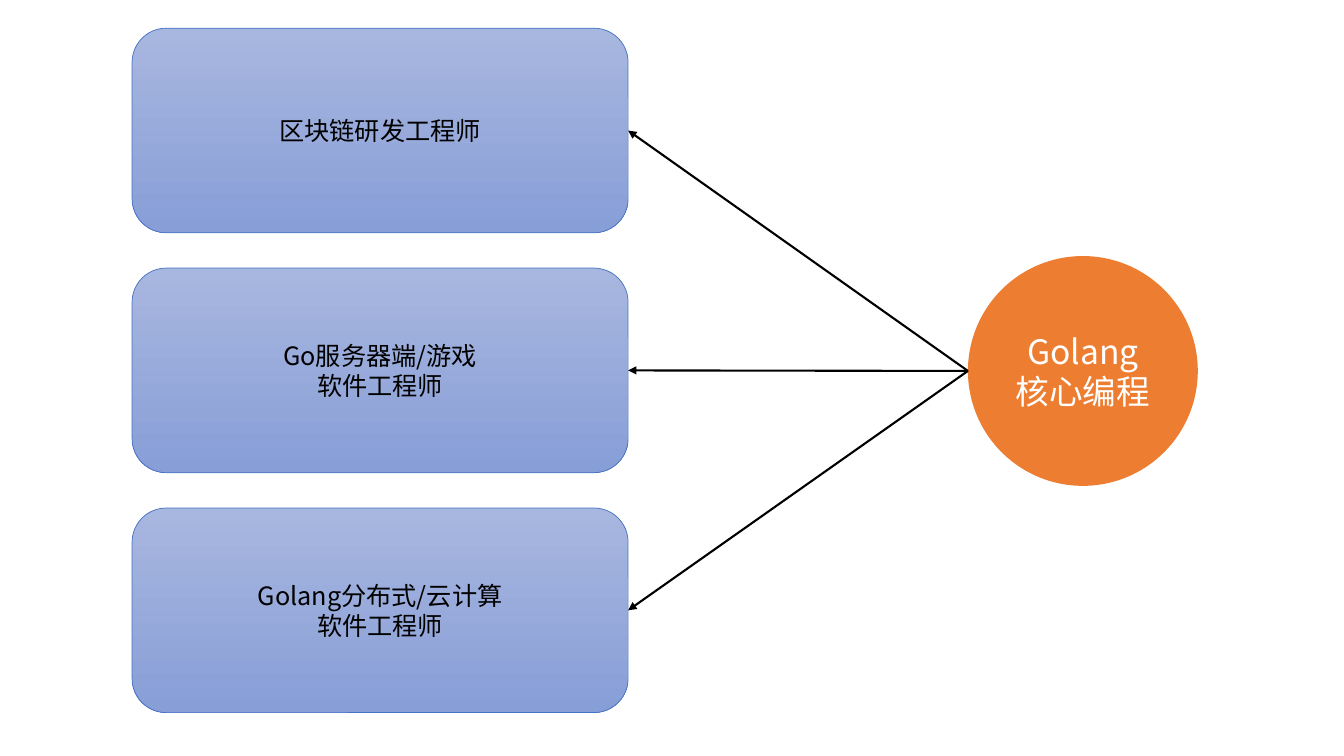
from dataclasses import dataclass

from lxml.etree import SubElement
from pptx import Presentation
from pptx.dml.color import RGBColor as RGB
from pptx.enum.shapes import MSO_CONNECTOR as CONNECTOR, MSO_SHAPE as SHAPE
from pptx.enum.text import MSO_ANCHOR as ANCHOR, PP_ALIGN as ALIGN
from pptx.oxml.ns import qn
from pptx.util import Inches, Pt


@dataclass(frozen=True)
class Theme:
    """Colours, font and sizes used on the slide."""
    font: str = "Noto Sans CJK SC"
    core_fill: RGB = RGB.from_string("ED7D31")
    core_text: RGB = RGB.from_string("FFFFFF")
    job_top: RGB = RGB.from_string("A8B7DF")
    job_bottom: RGB = RGB.from_string("889ED7")
    job_border: RGB = RGB.from_string("4472C4")
    ink: RGB = RGB.from_string("000000")
    core_size: Pt = Pt(24)
    job_size: Pt = Pt(18)
    border_width: Pt = Pt(0.5)
    arrow_width: Pt = Pt(1.5)


theme = Theme()


def write_label(shape, text, size, color):
    """Centre the lines of text in a shape and style them."""
    frame = shape.text_frame
    frame.text = text
    frame.word_wrap = True
    frame.vertical_anchor = ANCHOR.MIDDLE
    for paragraph in frame.paragraphs:
        paragraph.alignment = ALIGN.CENTER
        for run in paragraph.runs:
            run.font.size = size
            run.font.color.rgb = color
            run.font.name = theme.font
            SubElement(run.font._element, qn("a:ea"), typeface=theme.font)


presentation = Presentation()
presentation.slide_width = Inches(13.33)
presentation.slide_height = Inches(7.5)
slide = presentation.slides.add_slide(presentation.slide_layouts[6])
shapes = slide.shapes

# Core skill
core_left, core_top, core_diameter = Inches(9.6), Inches(2.54), Inches(2.28)
core = shapes.add_shape(SHAPE.OVAL, core_left, core_top, core_diameter, core_diameter)
core.shadow.inherit = False
core.fill.solid()
core.fill.fore_color.rgb = theme.core_fill
core.line.fill.background()
write_label(core, "Golang\n核心编程", theme.core_size, theme.core_text)

# Jobs it leads to
job_titles = [
    "区块链研发工程师",
    "Go服务器端/游戏\n软件工程师",
    "Golang分布式/云计算\n软件工程师",
]
job_left, first_job_top, job_step = Inches(1.31), Inches(0.28), Inches(2.38)
job_width, job_height = Inches(4.92), Inches(2.03)
jobs = []
for row, title in enumerate(job_titles):
    job = shapes.add_shape(SHAPE.ROUNDED_RECTANGLE, job_left,
                           first_job_top + row * job_step, job_width, job_height)
    job.shadow.inherit = False
    job.fill.gradient()
    job.fill.gradient_angle = 270
    for stop, color in zip(job.fill.gradient_stops, (theme.job_top, theme.job_bottom)):
        stop.color.rgb = color
    job.line.color.rgb = theme.job_border
    job.line.width = theme.border_width
    write_label(job, title, theme.job_size, theme.ink)
    jobs.append(job)

# Arrows from the left of the core to the right side of each job
core_middle = core_top + core_diameter // 2
for job in jobs:
    arrow = shapes.add_connector(CONNECTOR.STRAIGHT, core_left, core_middle,
                                 job_left + job_width, job.top + job_height // 2)
    arrow.end_connect(job, 3)
    arrow.line.color.rgb = theme.ink
    arrow.line.width = theme.arrow_width
    SubElement(arrow.line._get_or_add_ln(), qn("a:tailEnd"), type="triangle")
    SubElement(arrow._element.spPr, qn("a:effectLst"))

presentation.save("out.pptx")
